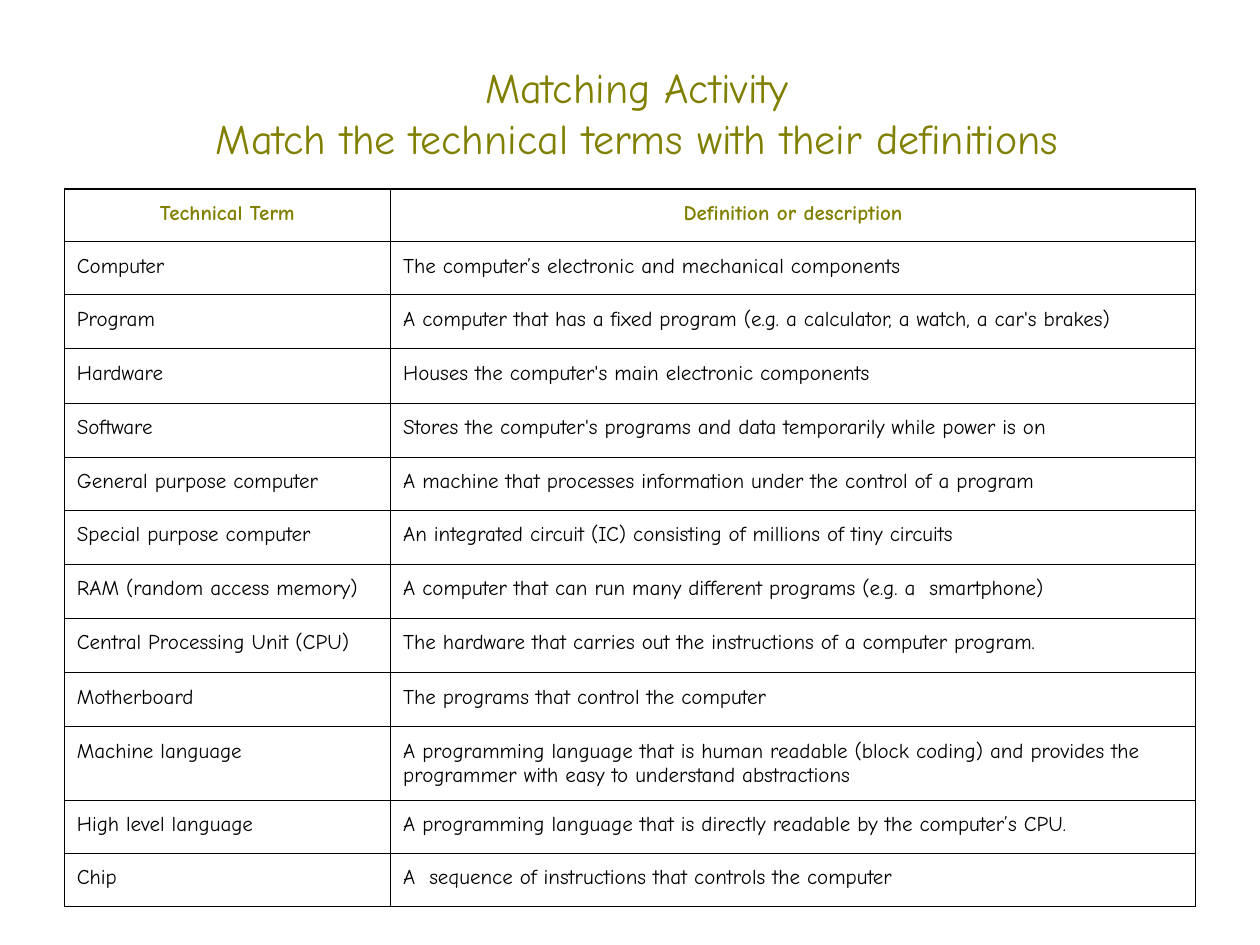
from typing import NamedTuple

from lxml import etree
from pptx import Presentation
from pptx.dml.color import RGBColor
from pptx.enum import text
from pptx.oxml import ns
from pptx.util import Inches, Pt

OLIVE = RGBColor(0x80, 0x80, 0x00)
BLACK = RGBColor(0, 0, 0)
FONT = "Comic Neue"
PAD = Inches(0.1)
LOW, TALL = 0.42, 0.43


class Row(NamedTuple):
    term: str
    meaning: str
    height: float = TALL


HEAD = Row("Technical Term", "Definition or description", LOW)
ROWS = [
    Row("Computer", "The computer’s electronic and mechanical components", LOW),
    Row("Program", "A computer that has a fixed program (e.g. a calculator, a watch, a car's brakes)"),
    Row("Hardware", "Houses the computer's main electronic components"),
    Row("Software", "Stores the computer's programs and data temporarily while power is on"),
    Row("General purpose computer", "A machine that processes information under the control of a program", LOW),
    Row("Special purpose computer", "An integrated circuit (IC) consisting of millions of tiny circuits"),
    Row("RAM (random access memory)", "A computer that can run many different programs (e.g. a  smartphone)"),
    Row("Central Processing Unit (CPU)", "The hardware that carries out the instructions of a computer program."),
    Row("Motherboard", "The programs that control the computer"),
    Row("Machine language", "A programming language that is human readable (block coding) and provides "
        "the programmer with easy to understand abstractions", LOW),
    Row("High level language", "A programming language that is directly readable by the computer’s CPU.", LOW),
    Row("Chip", "A  sequence of instructions that controls the computer", LOW),
]


def style(para, size: float, color: RGBColor, bold: bool = False, center: bool = False) -> None:
    font = para.font
    font.name, font.size, font.bold = FONT, Pt(size), bold
    font.color.rgb = color
    para.alignment = text.PP_ALIGN.CENTER if center else text.PP_ALIGN.LEFT


def pad(box) -> None:
    box.margin_left = box.margin_right = box.margin_top = box.margin_bottom = PAD


def border(cell) -> None:
    props = cell._tc.get_or_add_tcPr()
    for spot, side in enumerate(("lnL", "lnR", "lnT", "lnB")):
        line = etree.Element(ns.qn(f"a:{side}"), w=str(Pt(0.75)))
        fill = etree.SubElement(line, ns.qn("a:solidFill"))
        etree.SubElement(fill, ns.qn("a:srgbClr"), val=str(BLACK))
        props.insert(spot, line)


def add_title(slide, lines: list[str]) -> None:
    box = slide.shapes.add_textbox(Inches(0.56), Inches(0.39), Inches(8.99), Inches(0.9))
    frame = box.text_frame
    frame.word_wrap = True
    pad(frame)
    frame.text = "\n".join(lines)
    for para in frame.paragraphs:
        style(para, 24, OLIVE, center=True)


def add_terms(slide, rows: list[Row]) -> None:
    widths = (2.59, 6.39)
    high = sum(row.height for row in rows)
    table = slide.shapes.add_table(len(rows), len(widths), Inches(0.51), Inches(1.5),
                                   Inches(sum(widths)), Inches(high)).table
    table.horz_banding = False
    for col, width in zip(table.columns, widths):
        col.width = Inches(width)
    for r, row in enumerate(rows):
        table.rows[r].height = Inches(row.height)
        head = row is HEAD
        for c, words in enumerate((row.term, row.meaning)):
            cell = table.cell(r, c)
            cell.text = words
            cell.fill.background()
            pad(cell)
            border(cell)
            style(cell.text_frame.paragraphs[0], 12, OLIVE if head else BLACK, head, head)


def main() -> None:
    deck = Presentation()
    deck.slide_width, deck.slide_height = Inches(10), Inches(7.5)
    slide = deck.slides.add_slide(deck.slide_layouts[6])

    # Terms and definitions
    add_terms(slide, [HEAD, *ROWS])

    # Title
    add_title(slide, ["Matching Activity", "Match the technical terms with their definitions"])

    deck.save("out.pptx")


if __name__ == "__main__":
    main()
